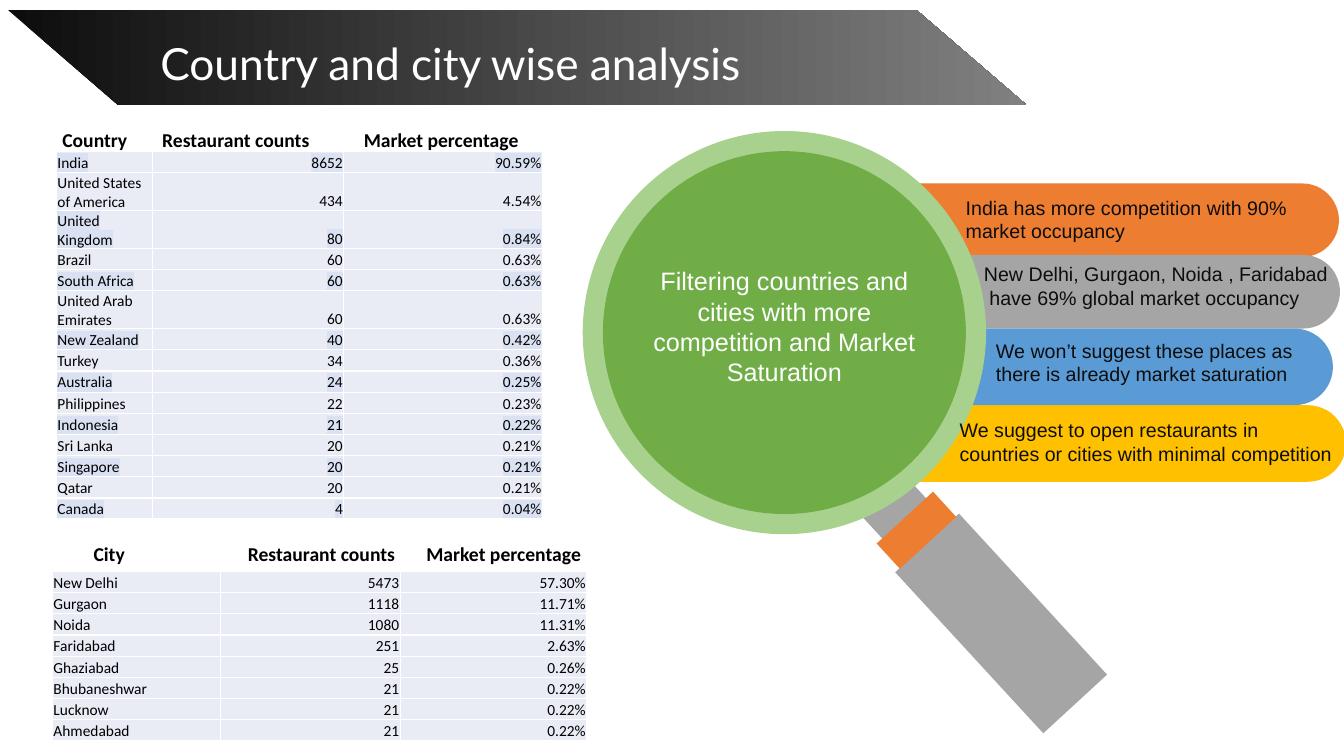
import pptx
import pptx.dml.color
import pptx.enum.shapes
import pptx.enum.text
import pptx.oxml
import pptx.oxml.ns
import pptx.util

RGBColor = pptx.dml.color.RGBColor
SHAPE = pptx.enum.shapes.MSO_SHAPE
ANCHOR = pptx.enum.text.MSO_ANCHOR
ALIGN = pptx.enum.text.PP_ALIGN

EMU_PER_PX = 9144  # 100 px to the inch
WHITE = RGBColor(0xFF, 0xFF, 0xFF)
BLACK = RGBColor(0x00, 0x00, 0x00)
INK = RGBColor(0x0D, 0x0D, 0x0D)
BANNER_END = RGBColor(0x80, 0x80, 0x80)
GREY = RGBColor(0xA5, 0xA5, 0xA5)
ORANGE = RGBColor(0xED, 0x7D, 0x31)
YELLOW = RGBColor(0xFF, 0xC0, 0x00)
BLUE = RGBColor(0x5B, 0x9B, 0xD5)
LIGHT_GREEN = RGBColor(0xA9, 0xD1, 0x8E)
GREEN = RGBColor(0x70, 0xAD, 0x47)
CELL_FILL = RGBColor(0xE9, 0xEB, 0xF5)
HIGHLIGHT = RGBColor(0xD9, 0xE1, 0xF2)

ROW_HEIGHT, TALL_ROW_HEIGHT = 21, 37
NOTE_RIGHT = 1325
HANDLE_ANGLE = 317.4

COUNTRIES = [
    ("India", "8652", "90.59%"),
    ("United States of America", "434", "4.54%"),
    ("United Kingdom", "80", "0.84%"),
    ("Brazil", "60", "0.63%"),
    ("South Africa", "60", "0.63%"),
    ("United Arab Emirates", "60", "0.63%"),
    ("New Zealand", "40", "0.42%"),
    ("Turkey", "34", "0.36%"),
    ("Australia", "24", "0.25%"),
    ("Philippines", "22", "0.23%"),
    ("Indonesia", "21", "0.22%"),
    ("Sri Lanka", "20", "0.21%"),
    ("Singapore", "20", "0.21%"),
    ("Qatar", "20", "0.21%"),
    ("Canada", "4", "0.04%"),
]
WRAPPED = {"United States of America", "United Kingdom", "United Arab Emirates"}
CITIES = [
    ("New Delhi", "5473", "57.30%"),
    ("Gurgaon", "1118", "11.71%"),
    ("Noida", "1080", "11.31%"),
    ("Faridabad", "251", "2.63%"),
    ("Ghaziabad", "25", "0.26%"),
    ("Bhubaneshwar", "21", "0.22%"),
    ("Lucknow", "21", "0.22%"),
    ("Ahmedabad", "21", "0.22%"),
]
# left, top, length, thickness, colour
PILLS = [
    (898, 182, 430, 73, ORANGE),
    (895, 402, 440, 76, YELLOW),
    (944, 253, 385, 73, GREY),
    (938, 326, 384, 76, BLUE),
]
# left, top, text
NOTES = [
    (948, 189, "India has more competition with 90% market occupancy"),
    (966, 255, "New Delhi, Gurgaon, Noida , Faridabad \n have 69% global market occupancy"),
    (978, 331, "We won’t suggest these places as \nthere is already market saturation"),
    (942, 410, "We suggest to open restaurants in \ncountries or cities with minimal competition"),
]
# left, top, width, height, colour
HANDLE_PARTS = [
    (950, 510, 86, 217, GREY),
    (856, 485, 59, 34, GREY),
    (871, 509, 76, 34, ORANGE),
]


def px(*lengths):
    return [pptx.util.Emu(round(length * EMU_PER_PX)) for length in lengths]


def style_runs(para, font_name, size, colour, bold=False):
    for span in para.runs:
        span.font.name = font_name
        span.font.size = pptx.util.Pt(size)
        span.font.bold = bold
        span.font.color.rgb = colour


def add_solid(page, kind, left, top, width, height, colour):
    shape = page.shapes.add_shape(kind, *px(left, top, width, height))
    shape.shadow.inherit = False
    shape.fill.solid()
    shape.fill.fore_color.rgb = colour
    shape.line.fill.background()
    return shape


def add_pill(page, left, top, length, thickness, colour):
    """Add a bar rounded at its right end: an upright shape turned a quarter."""
    shift = (length - thickness) / 2
    pill = add_solid(page, SHAPE.ROUND_2_SAME_RECTANGLE,
                     left + shift, top - shift, thickness, length, colour)
    pill.adjustments[0] = 0.5
    pill.adjustments[1] = 0
    pill.rotation = 90


def add_text(page, left, top, width, height, text, font_name, size, colour, bold=False):
    box = page.shapes.add_textbox(*px(left, top, width, height))
    box.text_frame.word_wrap = True
    para = box.text_frame.paragraphs[0]
    para.text = text
    style_runs(para, font_name, size, colour, bold)
    return box


def add_table_header(page, left, top, first, tab_stops):
    text = first + "\tRestaurant counts\tMarket percentage"
    box = add_text(page, left, top, 517, 34, text, "Calibri", 14, BLACK, bold=True)
    properties = box.text_frame.paragraphs[0]._p.get_or_add_pPr()
    tabs = pptx.oxml.parse_xml(f"<a:tabLst {pptx.oxml.ns.nsdecls('a')}/>")
    for stop in px(*tab_stops):
        tab = tabs.makeelement(pptx.oxml.ns.qn("a:tab"), {"pos": str(stop), "algn": "l"})
        tabs.append(tab)
    properties.append(tabs)


def highlight(span):
    mark = pptx.oxml.parse_xml(
        f"<a:highlight {pptx.oxml.ns.nsdecls('a')}>"
        f'<a:srgbClr val="{HIGHLIGHT}"/></a:highlight>')
    span._r.rPr.find(pptx.oxml.ns.qn("a:solidFill")).addnext(mark)


def fill_cell(cell, text, align, marked):
    cell.fill.solid()
    cell.fill.fore_color.rgb = CELL_FILL
    cell.margin_left, cell.margin_right, cell.margin_top, cell.margin_bottom = px(1, 1, 1, 0)
    cell.vertical_anchor = ANCHOR.BOTTOM
    para = cell.text_frame.paragraphs[0]
    para.text = text
    para.alignment = align
    style_runs(para, "Calibri", 11, BLACK)
    if marked:
        highlight(para.runs[0])


def add_counts_table(page, left, top, widths, records, striped=False):
    heights = [TALL_ROW_HEIGHT if record[0] in WRAPPED else ROW_HEIGHT for record in records]
    frame = page.shapes.add_table(len(records), len(widths),
                                  *px(left, top, sum(widths), sum(heights)))
    table = frame.table
    table.first_row = table.horz_banding = False
    for column, width in zip(table.columns, px(*widths)):
        column.width = width
    for row, height in zip(table.rows, px(*heights)):
        row.height = height
    for r, record in enumerate(records):
        for c, text in enumerate(record):
            align = ALIGN.RIGHT if c else ALIGN.LEFT
            fill_cell(table.cell(r, c), text, align, striped and r % 2 == 0)


def add_banner(page):
    start, *corners = [px(*point) for point in ((909, 10), (8, 10), (117, 104), (1018, 104))]
    builder = page.shapes.build_freeform(*start)
    builder.add_line_segments(corners, close=True)
    banner = builder.convert_to_shape()
    banner.shadow.inherit = False
    banner.line.fill.background()
    banner.fill.gradient()
    banner.fill.gradient_angle = 0
    for stop, colour in zip(banner.fill.gradient_stops, (INK, BANNER_END)):
        stop.color.rgb = colour
    return banner


def set_title(page, text, banner):
    title = page.shapes.title
    banner._element.addnext(title._element)
    title.left, title.top, title.width, title.height = px(107, 28, 679, 58)
    frame = title.text_frame
    frame.margin_left = frame.margin_right = frame.margin_top = frame.margin_bottom = 0
    frame.vertical_anchor = ANCHOR.TOP
    frame.auto_size = pptx.enum.text.MSO_AUTO_SIZE.NONE
    para = frame.paragraphs[0]
    para.text = text
    para.alignment = ALIGN.CENTER
    para.line_spacing = pptx.util.Pt(43.7)
    style_runs(para, "Lato", 31.6, WHITE)


def add_magnifier(page):
    for *place, colour in HANDLE_PARTS:
        add_solid(page, SHAPE.RECTANGLE, *place, colour).rotation = HANDLE_ANGLE
    for pill in PILLS:
        add_pill(page, *pill)
    add_solid(page, SHAPE.OVAL, 578, 130, 400, 400, LIGHT_GREEN)
    add_solid(page, SHAPE.OVAL, 598, 150, 360, 360, GREEN)
    message = "Filtering countries and cities with more competition and Market Saturation"
    lens = add_text(page, 628, 217, 300, 213, message, "Arial", 18, WHITE)
    lens.text_frame.vertical_anchor = ANCHOR.MIDDLE
    lens.text_frame.paragraphs[0].alignment = ALIGN.CENTER
    for left, top, text in NOTES:
        note = add_text(page, left, top, NOTE_RIGHT - left, 57, text, "Arial", 14, INK)
        note.text_frame.margin_right = 0


def main():
    deck = pptx.Presentation()
    deck.slide_width, deck.slide_height = px(1333, 750)
    page = deck.slides.add_slide(deck.slide_layouts[5])
    set_title(page, "Country and city wise analysis", add_banner(page))
    add_magnifier(page)
    add_counts_table(page, 56, 150, (95, 190, 197), COUNTRIES, striped=True)
    add_table_header(page, 52, 122, "Country", (99, 299))
    add_counts_table(page, 52, 567, (167, 178, 185), CITIES)
    add_table_header(page, 83, 533, "City", (153, 330))
    deck.save("out.pptx")


if __name__ == "__main__":
    main()
